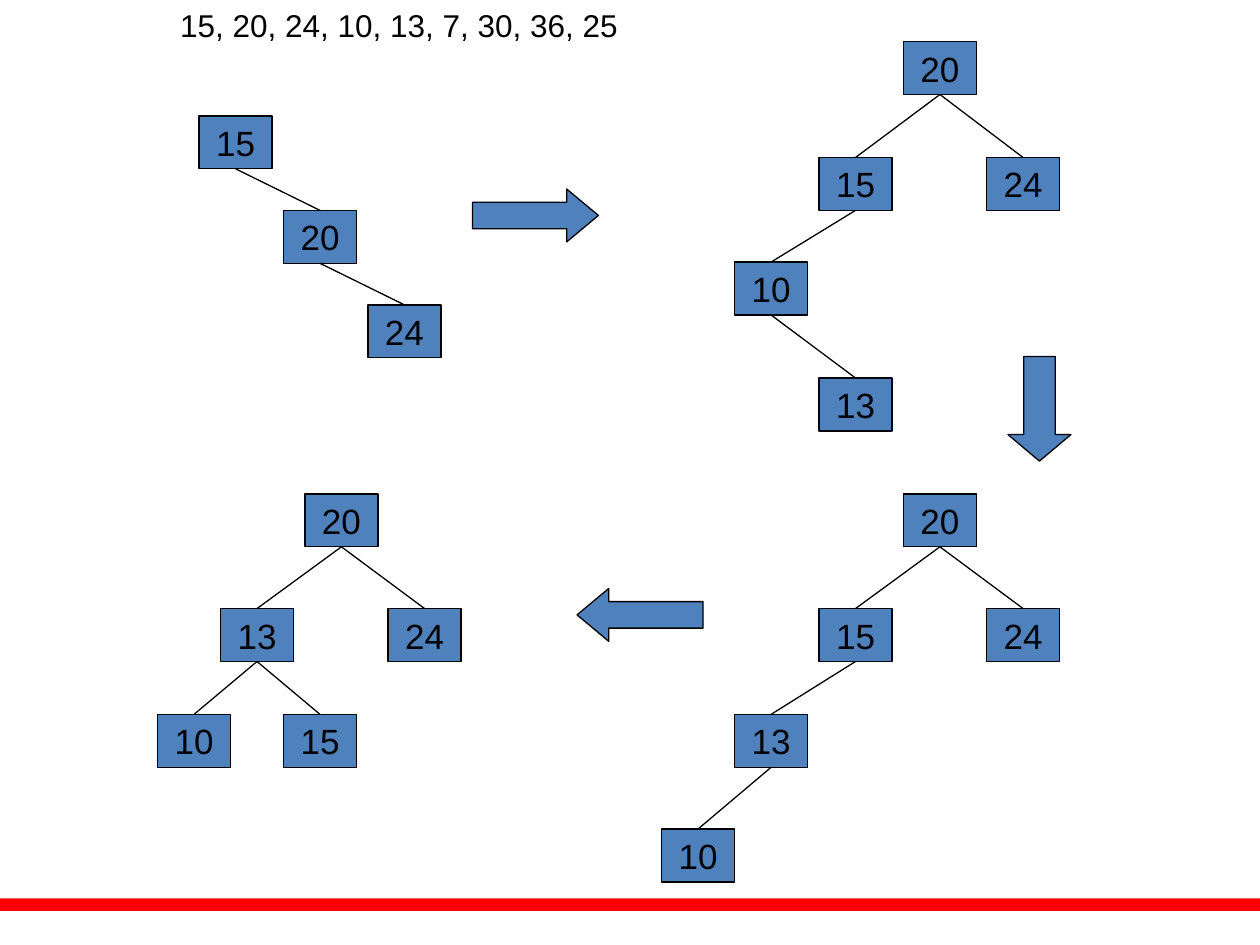
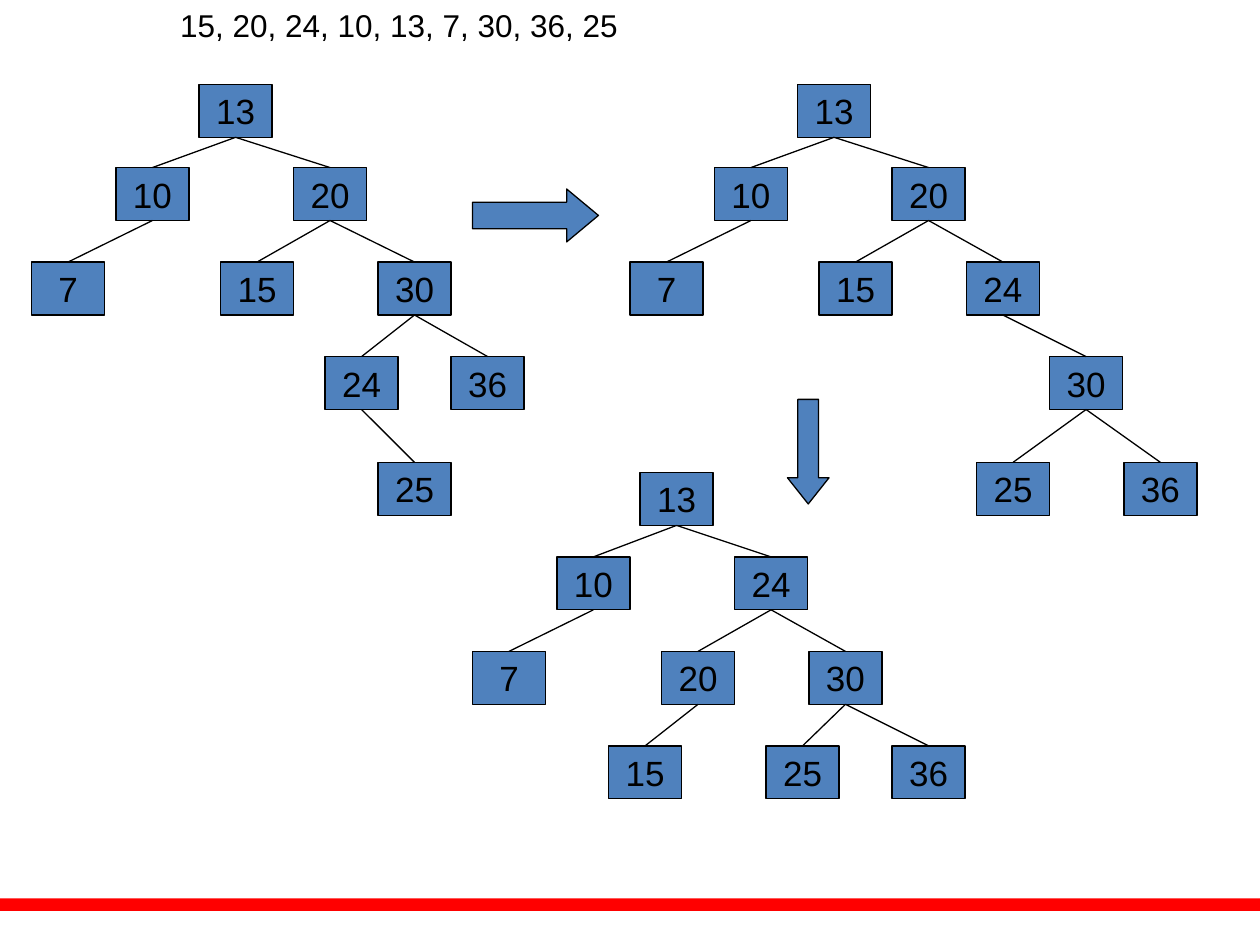
from dataclasses import dataclass
from pptx import Presentation
from pptx.dml.color import RGBColor as RGB
from pptx.enum.shapes import MSO_CONNECTOR as LINK, MSO_SHAPE as SHAPE
from pptx.enum.text import MSO_ANCHOR as ANCHOR, MSO_AUTO_SIZE as FIT, PP_ALIGN as ALIGN
from pptx.oxml.ns import qn
from pptx.util import Inches, Pt
from lxml.etree import SubElement


@dataclass(frozen=True)
class Theme:
    font: str = "Arial"
    ink: RGB = RGB(0, 0, 0)
    fill: RGB = RGB(0x4F, 0x81, 0xBD)
    band: RGB = RGB(0xFF, 0, 0)
    head: Pt = Pt(18)
    key: Pt = Pt(20)
    line: Pt = Pt(0.75)


theme = Theme()
BOX = (0.58, 0.42)
KEYS = "15, 20, 24, 10, 13, 7, 30, 36, 25"

# Each tree: the top of every level, then (key, left, parent key)
# Each arrow: kind, left, top, width, height, head ratio
upper = [0.67, 1.33, 2.08, 2.83, 3.67]
lower = [3.92, 4.83, 5.67, 6.58]
right = (SHAPE.RIGHT_ARROW, 3.75, 1.5, 1, 0.42, 0.6)
pages = [
    {
        "trees": [
            ([0.92, 1.67, 2.42],
             [(15, 1.58, None), (20, 2.25, 15), (24, 2.92, 20)]),
            ([0.33, 1.25, 2.08, 3],
             [(20, 7.17, None), (15, 6.5, 20), (24, 7.83, 20),
              (10, 5.83, 15), (13, 6.5, 10)]),
            (lower,
             [(20, 7.17, None), (15, 6.5, 20), (24, 7.83, 20),
              (13, 5.83, 15), (10, 5.25, 13)]),
            (lower,
             [(20, 2.42, None), (13, 1.75, 20), (24, 3.08, 20),
              (10, 1.25, 13), (15, 2.25, 13)]),
        ],
        "arrows": [
            right,
            (SHAPE.DOWN_ARROW, 8, 2.83, 0.5, 0.83, 0.42),
            (SHAPE.LEFT_ARROW, 4.58, 4.67, 1, 0.42, 0.6),
        ],
    },
    {
        "trees": [
            (upper,
             [(13, 1.58, None), (10, 0.92, 13), (20, 2.33, 13),
              (7, 0.25, 10), (15, 1.75, 20), (30, 3, 20),
              (24, 2.58, 30), (36, 3.58, 30), (25, 3, 24)]),
            (upper,
             [(13, 6.33, None), (10, 5.67, 13), (20, 7.08, 13),
              (7, 5, 10), (15, 6.5, 20), (24, 7.67, 20),
              (30, 8.33, 24), (25, 7.75, 30), (36, 8.92, 30)]),
            ([3.75, 4.42, 5.17, 5.92],
             [(13, 5.08, None), (10, 4.42, 13), (24, 5.83, 13),
              (7, 3.75, 10), (20, 5.25, 24), (30, 6.42, 24),
              (15, 4.83, 20), (25, 6.08, 30), (36, 7.08, 30)]),
        ],
        "arrows": [
            right,
            (SHAPE.DOWN_ARROW, 6.25, 3.17, 0.33, 0.83, 0.63),
        ],
    },
]


def draw(slide, kind, x, y, w, h, fill=theme.fill, edge=True):
    shape = slide.shapes.add_shape(kind, Inches(x), Inches(y), Inches(w), Inches(h))
    shape.shadow.inherit = False
    shape.fill.solid()
    shape.fill.fore_color.rgb = fill
    if edge:
        shape.line.color.rgb = theme.ink
        shape.line.width = theme.line
    else:
        shape.line.fill.background()
    return shape


def style(para, size, align):
    para.alignment = align
    para.font.name = theme.font
    para.font.size = size
    para.font.color.rgb = theme.ink


prs = Presentation()
prs.slide_width, prs.slide_height = Inches(10), Inches(7.5)

for page in pages:
    slide = prs.slides.add_slide(prs.slide_layouts[5])

    # Red band at the foot
    draw(slide, SHAPE.RECTANGLE, 0, 7.13, 10, 0.1, theme.band, edge=False)

    # Sequence of inserted keys
    title = slide.shapes.title
    title.left, title.top = Inches(0.83), Inches(0)
    title.width, title.height = Inches(8.17), Inches(0.4)
    frame = title.text_frame
    frame.text = KEYS
    frame.auto_size = FIT.NONE
    frame.vertical_anchor = ANCHOR.TOP
    frame.margin_left = Inches(0.6)
    style(frame.paragraphs[0], theme.head, ALIGN.LEFT)

    # Trees: a node sits one level below its parent
    for tops, nodes in page["trees"]:
        boxes, depth = {}, {None: -1}
        for key, x, up in nodes:
            depth[key] = depth[up] + 1
            box = draw(slide, SHAPE.RECTANGLE, x, tops[depth[key]], *BOX)
            frame = box.text_frame
            frame.text = str(key)
            frame.word_wrap = False
            frame.vertical_anchor = ANCHOR.MIDDLE
            style(frame.paragraphs[0], theme.key, ALIGN.CENTER)
            boxes[key] = box
            if up is None:
                continue
            link = slide.shapes.add_connector(LINK.STRAIGHT, 0, 0, 0, 0)
            link.begin_connect(boxes[up], 2)
            link.end_connect(box, 0)
            link.line.color.rgb = theme.ink
            link.line.width = theme.line
            SubElement(link.element.spPr, qn("a:effectLst"))

    # Arrows from step to step
    for kind, x, y, w, h, head in page["arrows"]:
        arrow = draw(slide, kind, x, y, w, h)
        arrow.adjustments[0] = 0.5
        arrow.adjustments[1] = head

prs.save("out.pptx")
